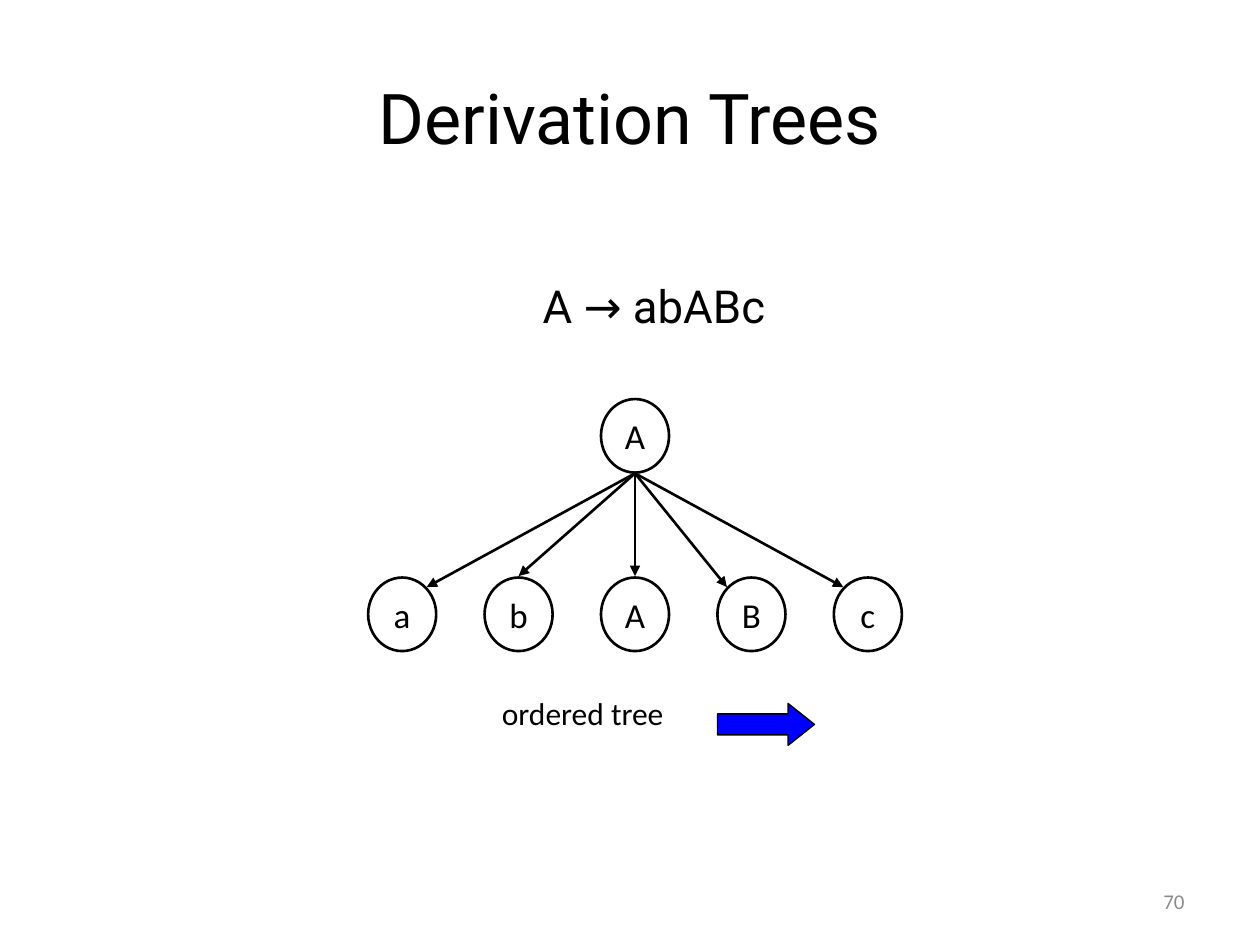
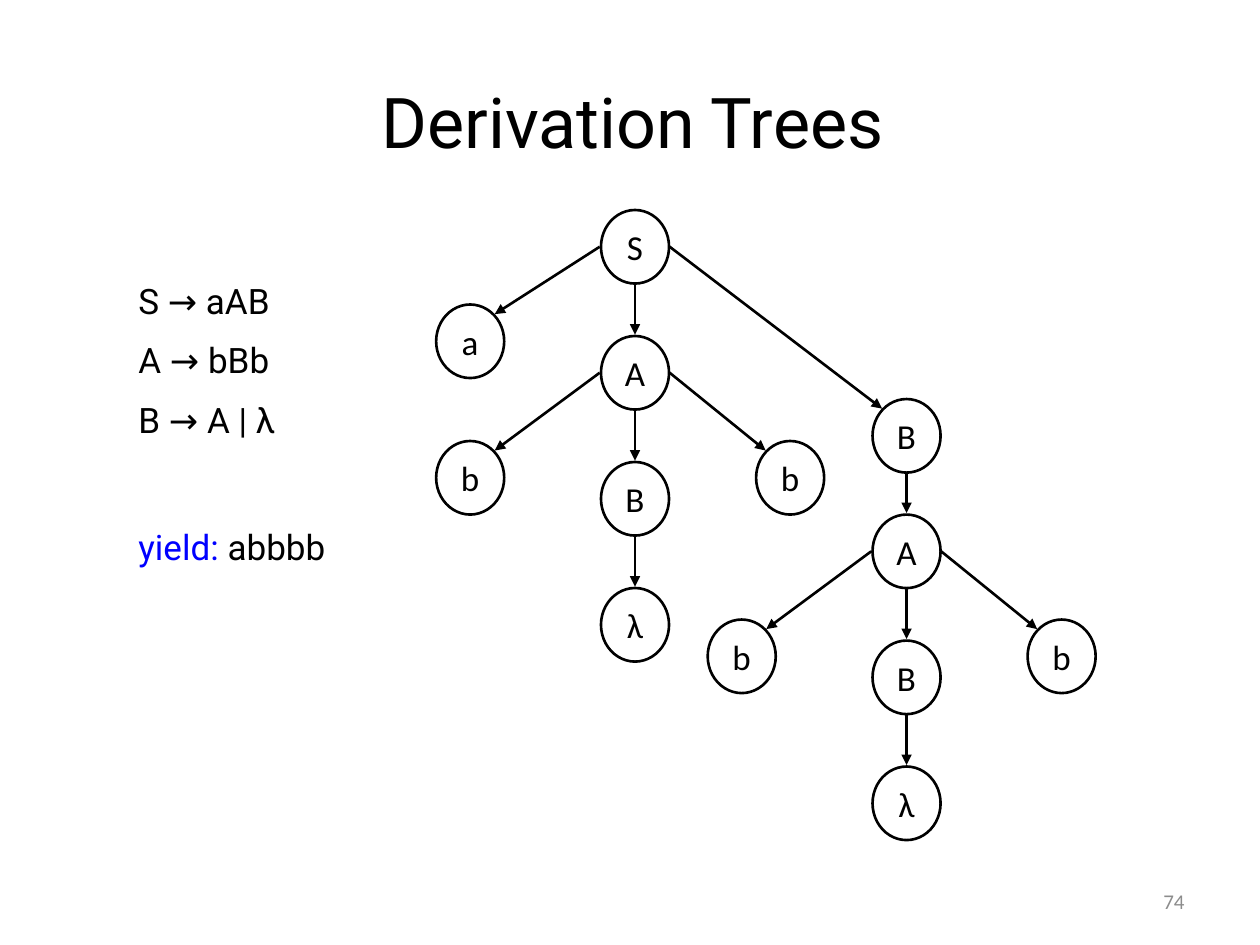
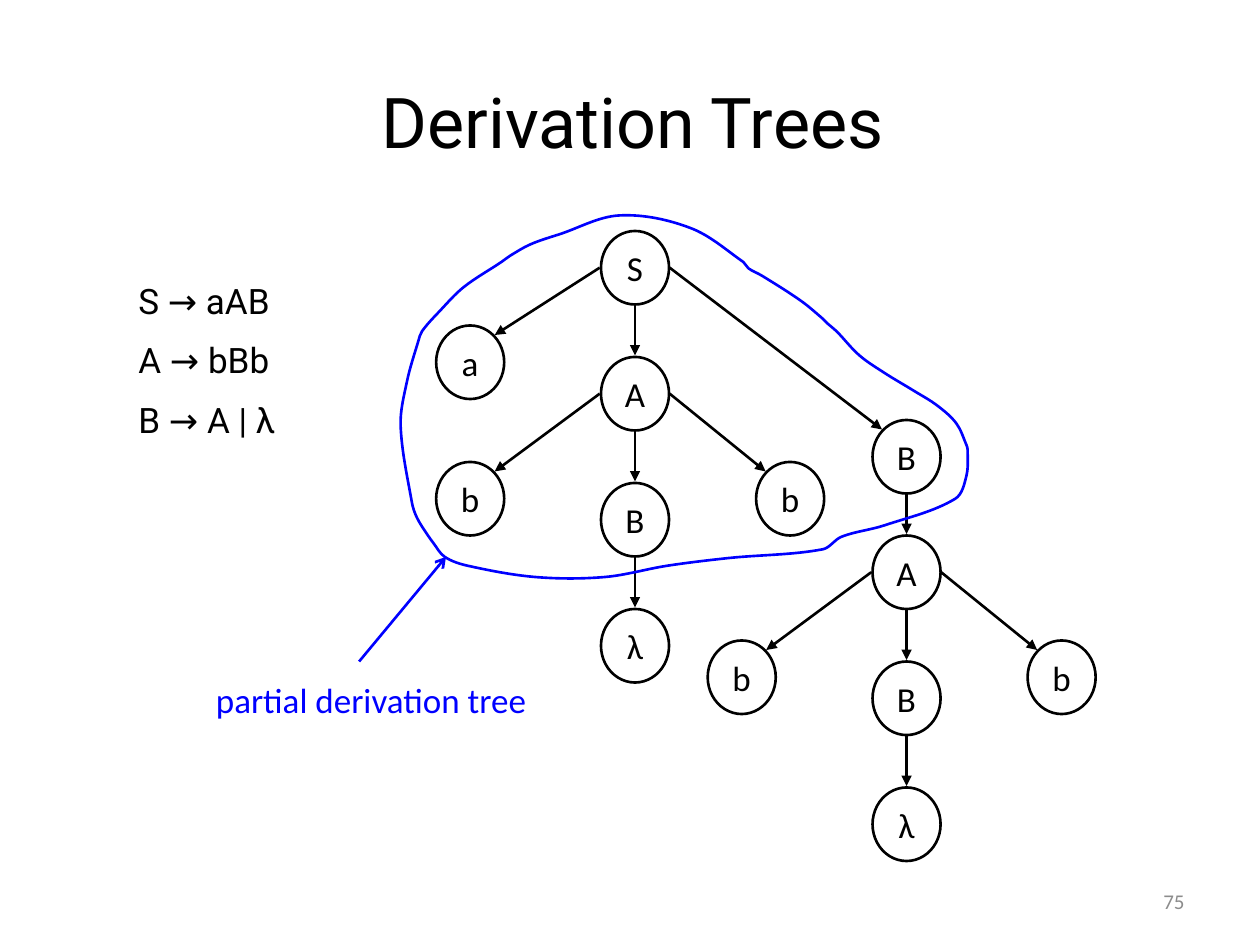
import lxml.etree
import pptx
import pptx.dml.color
import pptx.enum.shapes
import pptx.enum.text
import pptx.oxml.ns
import pptx.util

# Grid: 100 columns by 75 rows of square cells
CELL = pptx.util.Inches(0.1)
COLUMNS, ROWS = 100, 75

BLACK = pptx.dml.color.RGBColor(0x00, 0x00, 0x00)
BLUE = pptx.dml.color.RGBColor(0x00, 0x00, 0xFF)
GRAY = pptx.dml.color.RGBColor(0x8C, 0x8C, 0x8C)

SHAPES = pptx.enum.shapes.MSO_SHAPE
ALIGN = pptx.enum.text.PP_ALIGN
ANCHOR = pptx.enum.text.MSO_ANCHOR
qn = pptx.oxml.ns.qn

TITLE = {"name": "Roboto", "size": pptx.util.Pt(40)}
FORMULA = {"name": "Roboto", "size": pptx.util.Pt(26)}
RULE = {"name": "Roboto", "size": pptx.util.Pt(20)}
NODE = {"name": "Calibri", "size": pptx.util.Pt(20)}
CAPTION = {"name": "Calibri", "size": pptx.util.Pt(18)}
NUMBER = {"name": "Calibri", "size": pptx.util.Pt(12)}

# Tree nodes and the points on them where edges meet, as shares of the node
NODE_WIDTH, NODE_HEIGHT = 5.4, 5.84
SITES = {
    "top": (0.5, -0.02), "bottom": (0.5, 1.01),
    "left": (-0.02, 0.5), "right": (1.01, 0.5),
    "top left": (0.14, 0.13), "top right": (0.86, 0.13),
}
LEFT_STEP, RIGHT_STEP, LEVEL = -13.08, 12.31, 10

TITLE_BOX = (7.7, 3.3, 85, 12.5)
RULES_BOX = (10, 21.67, 80.8, 45)
GRAMMAR = ["S → aAB", "A → bBb", "B → A | λ"]

# Knots of the hand-drawn loop, in cells from its box corner
LOOP = [
    (0.5, 13.2), (1.4, 10), (1.7, 9.2), (3.1, 7.6), (5, 5.7), (8, 3.7),
    (8.7, 3.2), (10.3, 2.3), (12.6, 1.5), (17.4, 0), (23, 1), (27.2, 3.7),
    (27.6, 4.2), (28.7, 4.8), (31.8, 6.8), (33.5, 8.2), (33.9, 8.6),
    (34.6, 9.2), (36.4, 11.1), (38.4, 12.5), (40.7, 13.9), (42.6, 15.1),
    (44.1, 16.5), (44.9, 18.2), (45, 18.6), (44.9, 20.7), (44, 22.5),
    (38.4, 24.6), (35, 25.5), (33.5, 26.5), (26, 27.2), (21.2, 27.8),
    (16.2, 28.7), (10.7, 28.7), (5.3, 27.8), (3.5, 27.1), (2.6, 26),
    (2.1, 25.3), (1.3, 24), (0.9, 22.8), (0, 16.7),
]


def cells(*values):
    return [round(value * CELL) for value in values]


def apply(target, values):
    for name, value in values.items():
        setattr(target, name, value)


def write(paragraph, text, style, color=BLACK):
    run = paragraph.add_run()
    run.text = text
    apply(run.font, style)
    run.font.color.rgb = color


def add_text(slide, box, text, style, color=BLACK, align=ALIGN.LEFT, anchor=ANCHOR.TOP):
    frame = slide.shapes.add_textbox(*cells(*box)).text_frame
    apply(frame, {"word_wrap": True, "vertical_anchor": anchor})
    frame.paragraphs[0].alignment = align
    write(frame.paragraphs[0], text, style, color)
    return frame


def outline_only(shape, color):
    shape.shadow.inherit = False
    shape.fill.background()
    shape.line.color.rgb = color
    shape.line.width = pptx.util.Pt(1.5)


def add_arrow(slide, start, end, color=BLACK, head="triangle"):
    connector = slide.shapes.add_connector(
        pptx.enum.shapes.MSO_CONNECTOR.STRAIGHT, *cells(*start, *end))
    connector.line.color.rgb = color
    connector.line.width = pptx.util.Pt(1.5)
    properties = connector._element.spPr
    lxml.etree.SubElement(properties.find(qn("a:ln")), qn("a:tailEnd"), type=head)
    lxml.etree.SubElement(properties, qn("a:effectLst"))


def add_node(slide, corner, text):
    """Draws one tree node and returns its corner."""
    node = slide.shapes.add_shape(SHAPES.OVAL, *cells(*corner, NODE_WIDTH, NODE_HEIGHT))
    outline_only(node, BLACK)
    apply(node.text_frame, {"word_wrap": False, "vertical_anchor": ANCHOR.MIDDLE})
    paragraph = node.text_frame.paragraphs[0]
    paragraph.alignment = ALIGN.CENTER
    write(paragraph, text, NODE)
    return corner


def site(corner, name):
    across, down = SITES[name]
    return corner[0] + across * NODE_WIDTH, corner[1] + down * NODE_HEIGHT


def add_child(slide, parent, step, text, leave="bottom", arrive="top"):
    """Draws a node one step from its parent, with the edge between them."""
    child = add_node(slide, (parent[0] + step[0], parent[1] + step[1]), text)
    add_arrow(slide, site(parent, leave), site(child, arrive))
    return child


def add_a_branches(slide, node):
    """Expands A to bBb, and that B to λ."""
    add_child(slide, node, (LEFT_STEP, 8.33), "b", "left", "top right")
    add_child(slide, node, (RIGHT_STEP, 8.33), "b", "right", "top left")
    middle = add_child(slide, node, (0, LEVEL), "B")
    add_child(slide, middle, (0, LEVEL), "λ")


def add_derivation_tree(slide, corner):
    root = add_node(slide, corner, "S")
    add_child(slide, root, (LEFT_STEP, 7.5), "a", "left", "top right")
    add_a_branches(slide, add_child(slide, root, (0, LEVEL), "A"))
    right = add_child(slide, root, (21.55, 15), "B", "right", "top left")
    add_a_branches(slide, add_child(slide, right, (0, 9.17), "A"))


def curve_controls(points):
    """Yields the control points, then the end, of each curve round a closed outline."""
    knots = [complex(*point) for point in points]
    following = knots[1:] + knots[:1]
    chords = [after - before for before, after in zip(knots[-1:] + knots[:-1], following)]
    directions = [chord / abs(chord) for chord in chords]
    for start, end, leave, arrive in zip(
            knots, following, directions, directions[1:] + directions[:1]):
        reach = abs(end - start) / 3
        yield [(point.real, point.imag)
               for point in (start + reach * leave, end - reach * arrive, end)]


def add_loop(slide, corner):
    outline = [cells(corner[0] + x, corner[1] + y) for x, y in LOOP]
    builder = slide.shapes.build_freeform(*outline[0])
    builder.add_line_segments(outline[1:] + outline[:1], close=True)
    loop = builder.convert_to_shape()
    outline_only(loop, BLUE)

    # Turn each straight segment into a curve
    segments = list(loop._element.iter(qn("a:lnTo")))
    for segment, controls in zip(segments, curve_controls(LOOP)):
        segment.tag = qn("a:cubicBezTo")
        segment.remove(segment[0])
        for point in controls:
            x, y = cells(*point)
            lxml.etree.SubElement(segment, qn("a:pt"), x=str(x), y=str(y))


def add_rules(slide, box):
    frame = add_text(slide, box, GRAMMAR[0], RULE)
    for rule in GRAMMAR[1:]:
        frame.paragraphs[-1].space_after = pptx.util.Pt(10)
        write(frame.add_paragraph(), rule, RULE)
    return frame


def add_base_slide(presentation, number, title_box=TITLE_BOX):
    """Adds a blank slide with the shared title and slide number."""
    slide = presentation.slides.add_slide(presentation.slide_layouts[6])
    add_text(slide, (71.7, 69.5, 23.3, 4), str(number), NUMBER, GRAY,
             ALIGN.RIGHT, ANCHOR.MIDDLE)
    add_text(slide, title_box, "Derivation Trees", TITLE, BLACK,
             ALIGN.CENTER, ANCHOR.MIDDLE)
    return slide


def add_ordered_tree_slide(presentation):
    slide = add_base_slide(presentation, 70, (5, 3, 90, 12.5))
    formula = add_text(slide, (5.4, 21.6, 89.3, 45), "A → abABc", FORMULA,
                       align=ALIGN.CENTER)
    formula.margin_left = pptx.util.Inches(0.47)

    # One level of children, evenly spaced under the root
    root = add_node(slide, (47.7, 31.67), "A")
    arrivals = ["top right", "top", "top", "top left", "top left"]
    for index, (text, arrive) in enumerate(zip("abABc", arrivals)):
        add_child(slide, root, ((index - 2) * 9.24, 14.17), text, arrive=arrive)

    # Caption and reading direction
    add_text(slide, (34.65, 54.6, 23.2, 4), "ordered tree", CAPTION, align=ALIGN.CENTER)
    arrow = slide.shapes.add_shape(SHAPES.RIGHT_ARROW, *cells(56.95, 55.83, 7.7, 3.33))
    arrow.adjustments[0], arrow.adjustments[1] = 0.5, 0.63
    arrow.shadow.inherit = False
    arrow.fill.solid()
    arrow.fill.fore_color.rgb = BLUE
    arrow.line.color.rgb = BLACK
    arrow.line.width = pptx.util.Pt(0.75)


def add_yield_slide(presentation):
    slide = add_base_slide(presentation, 74)
    result = add_rules(slide, RULES_BOX).add_paragraph()
    result.space_before = pptx.util.Pt(48.5)
    write(result, "yield:", RULE, BLUE)
    write(result, " abbbb", RULE)
    add_derivation_tree(slide, (47.7, 16.67))


def add_partial_tree_slide(presentation):
    slide = add_base_slide(presentation, 75)
    add_rules(slide, RULES_BOX)
    add_derivation_tree(slide, (47.7, 18.33))

    # Loop around the partial tree, with its label
    add_loop(slide, (31.8, 17.1))
    add_text(slide, (16.15, 53.35, 33.1, 4.3), "partial derivation tree", NODE, BLUE)
    add_arrow(slide, (28.5, 52.5), (35.4, 44.2), BLUE, "arrow")


def main():
    presentation = pptx.Presentation()
    presentation.slide_width, presentation.slide_height = cells(COLUMNS, ROWS)
    add_ordered_tree_slide(presentation)
    add_yield_slide(presentation)
    add_partial_tree_slide(presentation)
    presentation.save("out.pptx")


if __name__ == "__main__":
    main()
